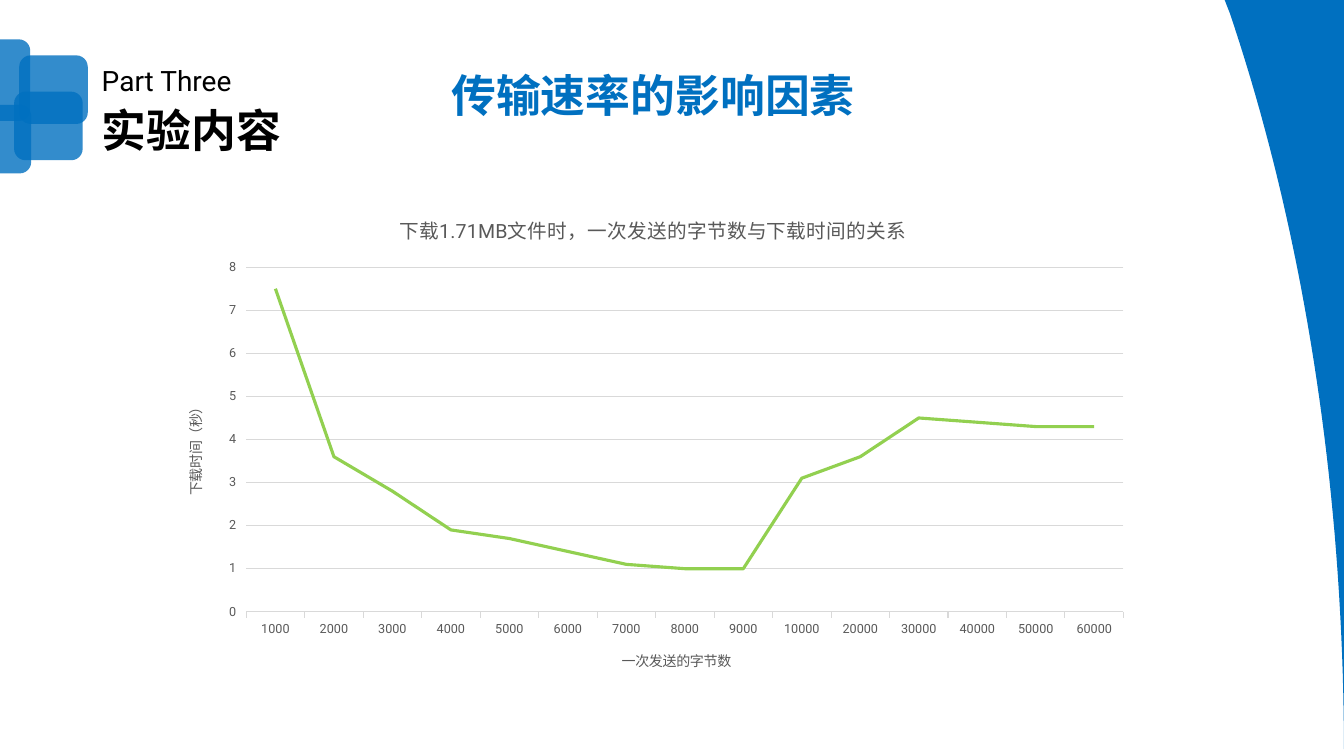
"""Builds the slide on how the bytes sent at once affect download time."""
from dataclasses import dataclass
from typing import Any

from lxml import etree
from pptx import Presentation, util as u
from pptx.chart import data as chart_data
from pptx.dml.color import RGBColor
from pptx.enum import chart as ch, shapes, text

BLUE = RGBColor(0x00, 0x70, 0xC0)
BLACK = RGBColor(0x00, 0x00, 0x00)
GREY = RGBColor(0x59, 0x59, 0x59)
RULE_GREY = RGBColor(0xD9, 0xD9, 0xD9)
GREEN = RGBColor(0x92, 0xD0, 0x50)
FONT = "Roboto"
SLIDE_WIDTH, SLIDE_HEIGHT = u.Inches(13.33), u.Inches(7.5)
DRAWING_NS = "http://schemas.openxmlformats.org/drawingml/2006/main"
CURVE_STEPS = 40


@dataclass(frozen=True)
class Area:
    """A rectangle in percent of the slide's width and height."""
    left: float
    top: float
    width: float
    height: float

    def box(self) -> tuple[int, int, int, int]:
        return (*point(self.left, self.top), *point(self.width, self.height))


@dataclass(frozen=True)
class Label:
    """A line of text with its place and look."""
    wording: str
    area: Area
    size: int
    color: RGBColor
    bold: bool = False
    align: text.PP_ALIGN = text.PP_ALIGN.LEFT
    spacing: float = 1.0


TILES = [
    Area(-2.85, 5.2, 5.1, 10.8),
    Area(1.43, 7.33, 5.1, 9.07),
    Area(1.05, 12.13, 5.1, 9.07),
    Area(-2.78, 13.87, 5.1, 9.07),
]
LABELS = [
    Label("实验内容", Area(6.83, 13.73, 24.38, 7.87), 32, BLACK, bold=True, spacing=0.9),
    Label("Part Three", Area(6.83, 8.27, 24.38, 5.33), 20, BLACK, spacing=0.9),
    Label("传输速率的影响因素", Area(31.35, 8.27, 34.5, 8.53), 32, BLUE, bold=True,
          align=text.PP_ALIGN.CENTER),
]
CHART_AREA = Area(12.15, 25.73, 72.9, 65.73)
ARC = [(100, 100), (100, 63.6), (96.82, 29.73), (91.5, 1.73)]
BYTES_SENT = [*range(1000, 10000, 1000), *range(10000, 70000, 10000)]
SECONDS = [7.5, 3.6, 2.8, 1.9, 1.7, 1.4, 1.1, 1, 1, 3.1, 3.6, 4.5, 4.4, 4.3, 4.3]


def point(x: float, y: float) -> tuple[int, int]:
    """Turn percentages of the slide into lengths."""
    return round(SLIDE_WIDTH * x / 100), round(SLIDE_HEIGHT * y / 100)


def arc_point(t: float) -> tuple[int, int]:
    """Give the point at share t of the cubic arc."""
    weights = ((1 - t) ** 3, 3 * t * (1 - t) ** 2, 3 * t * t * (1 - t), t ** 3)
    x, y = (sum(w * p[i] for w, p in zip(weights, ARC)) for i in (0, 1))
    return point(x, y)


def paint(shape: Any) -> None:
    """Fill a shape with plain blue."""
    shape.shadow.inherit = False
    shape.fill.solid()
    shape.fill.fore_color.rgb = BLUE
    shape.line.fill.background()


def add_tile(slide: Any, area: Area) -> None:
    """Draw a translucent rounded tile."""
    tile = slide.shapes.add_shape(shapes.MSO_SHAPE.ROUNDED_RECTANGLE, *area.box())
    paint(tile)
    tint = tile.fill._xPr.find(f".//{{{DRAWING_NS}}}srgbClr")
    etree.SubElement(tint, f"{{{DRAWING_NS}}}alpha", val="80000")


def add_edge(slide: Any) -> None:
    """Draw the curved band on the right edge."""
    outline = slide.shapes.build_freeform(*point(91.12, 0))
    arc = [arc_point(step / CURVE_STEPS) for step in range(CURVE_STEPS + 1)]
    outline.add_line_segments([point(100, 0), *arc], close=True)
    paint(outline.convert_to_shape())


def style(font: Any, size: int, color: RGBColor, bold: bool = False) -> None:
    """Set the look of a font."""
    font.name, font.size, font.bold = FONT, u.Pt(size), bold
    font.color.rgb = color


def add_label(slide: Any, label: Label) -> None:
    """Write one label."""
    frame = slide.shapes.add_textbox(*label.area.box()).text_frame
    frame.word_wrap = True
    frame.text = label.wording
    line = frame.paragraphs[0]
    line.alignment, line.line_spacing = label.align, label.spacing
    style(line.runs[0].font, label.size, label.color, label.bold)


def add_title(owner: Any, wording: str, size: int) -> None:
    """Write the title of a chart or an axis."""
    owner.text_frame.text = wording
    style(owner.text_frame.paragraphs[0].runs[0].font, size, GREY)


def rule(line: Any) -> None:
    """Draw a thin grey chart line."""
    line.color.rgb, line.width = RULE_GREY, u.Pt(0.75)


def add_timing_chart(slide: Any) -> None:
    """Draw download time against bytes sent at once."""
    timings = chart_data.CategoryChartData()
    timings.categories = [str(count) for count in BYTES_SENT]
    timings.add_series("Series 1", SECONDS)
    chart = slide.shapes.add_chart(
        ch.XL_CHART_TYPE.LINE, *CHART_AREA.box(), timings).chart
    style(chart.font, 10, BLACK)
    chart.has_legend = False
    chart.has_title = True
    add_title(chart.chart_title, "下载1.71MB文件时，一次发送的字节数与下载时间的关系", 14)

    bytes_axis, time_axis = chart.category_axis, chart.value_axis
    for axis, wording in ((bytes_axis, "一次发送的字节数"), (time_axis, "下载时间（秒）")):
        add_title(axis.axis_title, wording, 10)
        style(axis.tick_labels.font, 9, GREY)
        axis.major_tick_mark = ch.XL_TICK_MARK.OUTSIDE
    time_axis.axis_title.text_frame._txBody.bodyPr.set("rot", "-5400000")
    rule(bytes_axis.format.line)
    rule(time_axis.major_gridlines.format.line)
    time_axis.format.line.fill.background()
    time_axis.minimum_scale, time_axis.maximum_scale, time_axis.major_unit = 0, 8, 1

    chart.plots[0].vary_by_categories = False
    curve = chart.plots[0].series[0]
    curve.smooth = False
    curve.marker.style = ch.XL_MARKER_STYLE.NONE
    curve.format.line.color.rgb = GREEN
    curve.format.line.width = u.Pt(2.25)


def main() -> None:
    """Build and save the slide."""
    deck = Presentation()
    deck.slide_width, deck.slide_height = SLIDE_WIDTH, SLIDE_HEIGHT
    slide = deck.slides.add_slide(deck.slide_layouts[6])
    for tile in TILES:
        add_tile(slide, tile)
    add_edge(slide)
    for label in LABELS:
        add_label(slide, label)
    add_timing_chart(slide)
    deck.save("out.pptx")


if __name__ == "__main__":
    main()
